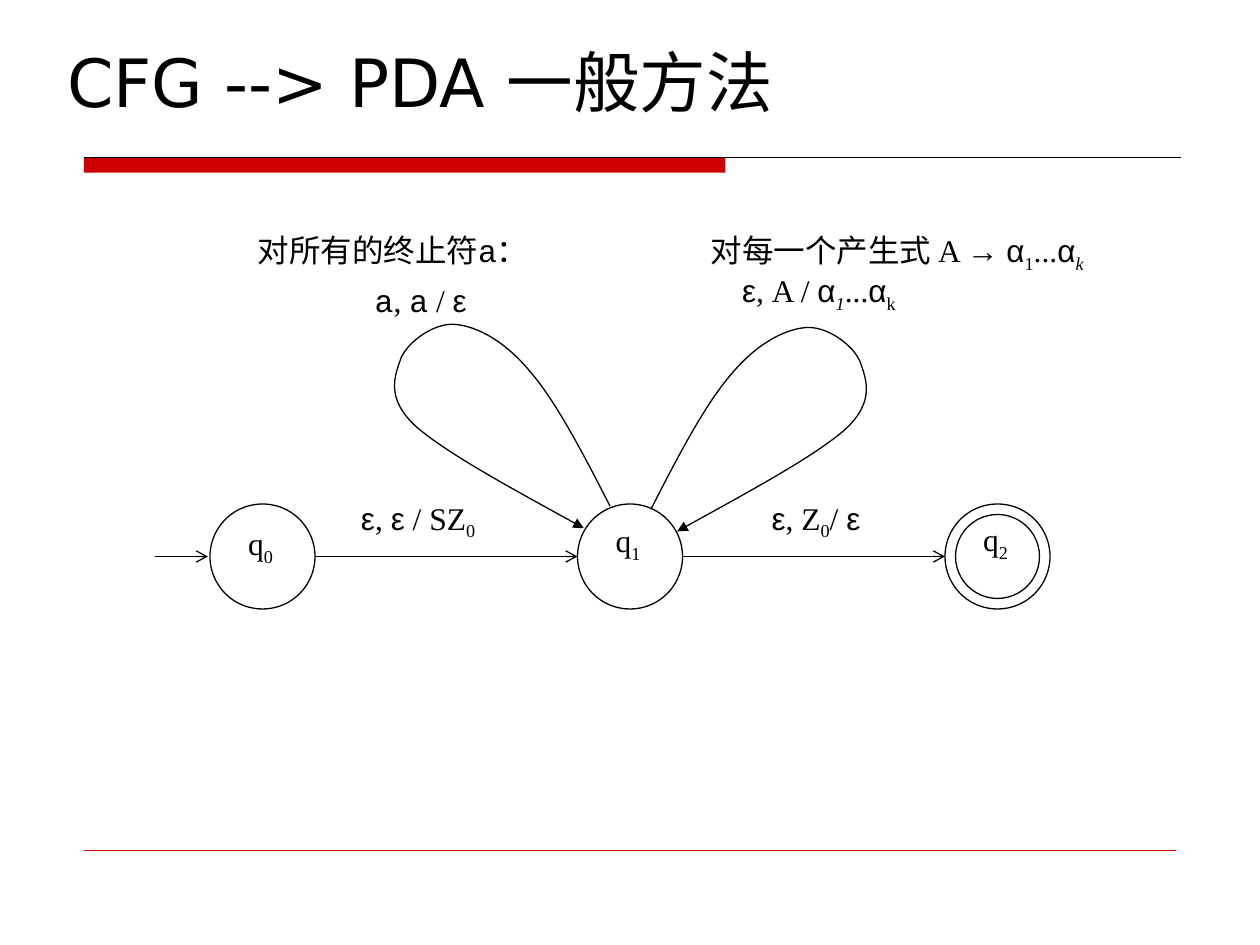
import pptx
import pptx.dml.color
import pptx.enum.shapes
import pptx.enum.text
import pptx.oxml
import pptx.oxml.ns
import pptx.util

SHAPE = pptx.enum.shapes.MSO_SHAPE
RED, BLACK = "CC0000", "000000"
STYLES = {
    "han": ("DejaVu Sans", False, False),
    "code": ("Courier New", False, False),
    "greek": ("Arial", False, False),
    "roman": ("Times New Roman", False, False),
    "sub": ("Times New Roman", True, False),
    "subitalic": ("Times New Roman", True, True),
}


def colour(value):
    """Turn a hex string into a colour."""
    return pptx.dml.color.RGBColor.from_string(value)


def cells(count):
    """Turn cells of the 120 by 90 grid into a length."""
    return pptx.util.Inches(count / 12)


def drawing_element(tag, attributes=""):
    """Make an empty element of the drawing namespace."""
    return pptx.oxml.parse_xml(f'<a:{tag} {pptx.oxml.ns.nsdecls("a")} {attributes}/>')


class Diagram:
    """Draws automaton elements on one slide with a shared style."""

    def __init__(self, presentation):
        """Add a slide with a title placeholder."""
        self.slide = presentation.slides.add_slide(presentation.slide_layouts[5])
        self.shapes = self.slide.shapes

    def title(self, words, left, top, width, height):
        """Place and format the title."""
        heading = self.shapes.title
        heading.left, heading.top = cells(left), cells(top)
        heading.width, heading.height = cells(width), cells(height)
        frame = heading.text_frame
        frame.text = words
        frame.auto_size = pptx.enum.text.MSO_AUTO_SIZE.NONE
        frame.vertical_anchor = pptx.enum.text.MSO_ANCHOR.MIDDLE
        paragraph = frame.paragraphs[0]
        paragraph.alignment = pptx.enum.text.PP_ALIGN.LEFT
        paragraph.font.size = pptx.util.Pt(38)
        paragraph.font.name = "DejaVu Sans"
        paragraph.font.color.rgb = colour(BLACK)

    def stroke(self, outline, ink=BLACK, weight=0.75, arrow=None):
        """Set the line of an element and its arrowhead."""
        outline.line.color.rgb = colour(ink)
        outline.line.width = pptx.util.Pt(weight)
        if arrow:
            outline.line._get_or_add_ln().append(drawing_element("tailEnd", f'type="{arrow}"'))

    def bar(self, left, top, width, height):
        """Draw a solid red bar."""
        band = self.shapes.add_shape(SHAPE.RECTANGLE, cells(left), cells(top),
                                     cells(width), cells(height))
        band.shadow.inherit = False
        band.fill.solid()
        band.fill.fore_color.rgb = colour(RED)
        band.line.fill.background()

    def line(self, left, right, y, **style):
        """Draw a horizontal line or arrow."""
        rule = self.shapes.add_connector(pptx.enum.shapes.MSO_CONNECTOR.STRAIGHT,
                                         cells(left), cells(y), cells(right), cells(y))
        self.stroke(rule, **style)
        rule._element.spPr.append(drawing_element("effectLst"))

    def circle(self, left, top, size):
        """Draw an empty circle."""
        ring = self.shapes.add_shape(SHAPE.OVAL, cells(left), cells(top),
                                     cells(size), cells(size))
        ring.shadow.inherit = False
        ring.fill.background()
        self.stroke(ring)

    def loop(self, points):
        """Draw cubic curves, three points each after the start, with an arrowhead."""
        start, *others = [(cells(x), cells(y)) for x, y in points]
        builder = self.shapes.build_freeform(*start)
        builder.add_line_segments(others, close=False)
        curve = builder.convert_to_shape()
        segments = list(curve._element.iter(pptx.oxml.ns.qn("a:lnTo")))
        for first in range(0, len(segments), 3):
            cubic = drawing_element("cubicBezTo")
            segments[first].addprevious(cubic)
            for segment in segments[first:first + 3]:
                cubic.append(segment[0])
                segment.getparent().remove(segment)
        curve.shadow.inherit = False
        curve.fill.background()
        self.stroke(curve, arrow="triangle")

    def label(self, left, top, width, height, *pieces):
        """Write a label from pairs of text and style name."""
        box = self.shapes.add_textbox(cells(left), cells(top), cells(width), cells(height))
        box.text_frame.word_wrap = False
        box.text_frame.auto_size = pptx.enum.text.MSO_AUTO_SIZE.SHAPE_TO_FIT_TEXT
        paragraph = box.text_frame.paragraphs[0]
        paragraph.font.size = pptx.util.Pt(18)
        paragraph.font.color.rgb = colour(BLACK)
        for words, style in pieces:
            run = paragraph.add_run()
            run.text = words
            run.font.name, lowered, slanted = STYLES[style]
            if slanted:
                run.font.italic = True
            if lowered:
                run._r.get_or_add_rPr().set("baseline", "-25000")


def main():
    """Build the slide and save it."""
    presentation = pptx.Presentation()
    presentation.slide_width, presentation.slide_height = cells(120), cells(90)
    diagram = Diagram(presentation)

    diagram.bar(8, 15, 61.1, 1.45)
    diagram.line(8, 112.45, 15, weight=0.25)
    diagram.line(8, 112, 81, ink=RED, weight=0.25)
    diagram.title("CFG --> PDA 一般方法", 5.2, 3.4, 109.7, 8.6)

    for index, text_top in enumerate((49.3, 49, 48.9)):
        left = 20 + 35 * index
        diagram.circle(left, 48, 10)
        diagram.label(left + 2.45, text_top, 5.2, 5.3, ("q", "roman"), (str(index), "sub"))
    diagram.circle(91, 49, 8)
    for start, end in ((14.8, 19.8), (30, 55), (65, 90)):
        diagram.line(start, end, 53, arrow="arrow")

    diagram.label(33.2, 46.9, 13.3, 5.3, ("ε", "greek"), (", ", "roman"),
                  ("ε", "greek"), (" / SZ", "roman"), ("0", "sub"))
    diagram.label(72.3, 46.9, 10.9, 5.3, ("ε", "greek"), (", Z", "roman"),
                  ("0", "sub"), ("/ ", "roman"), ("ε", "greek"))
    diagram.label(34.5, 26.2, 11.3, 4.8, ("a", "code"), (", ", "roman"),
                  ("a", "code"), (" / ", "roman"), ("ε", "greek"))
    diagram.label(23.35, 21.4, 29.6, 4.8, ("对所有的终止符", "han"), ("a：", "code"))
    diagram.label(69.5, 25.2, 17.6, 5.3, ("ε", "greek"), (", A / ", "roman"),
                  ("α", "greek"), ("1", "subitalic"), ("...", "roman"),
                  ("α", "greek"), ("k", "sub"))
    diagram.label(66.5, 21.4, 39.1, 5.3, ("对每一个产生式 ", "han"), ("A → ", "roman"),
                  ("α", "greek"), ("1", "sub"), ("...", "roman"),
                  ("α", "greek"), ("k", "subitalic"))

    terminal_loop = [
        (58.1, 48.2),
        (55.6, 43.3), (53, 38.3), (50.5, 35.4),
        (48.1, 32.5), (45.5, 31.1), (43.4, 30.9),
        (41.4, 30.7), (38.9, 32.5), (38.2, 34.1),
        (37.6, 35.8), (36.7, 37.9), (39.6, 40.6),
        (42.6, 43.2), (49.1, 46.7), (55.6, 50.3),
    ]
    diagram.loop(terminal_loop)
    diagram.loop([(120.1 - x, y + 0.3) for x, y in terminal_loop])

    presentation.save("out.pptx")


if __name__ == "__main__":
    main()
